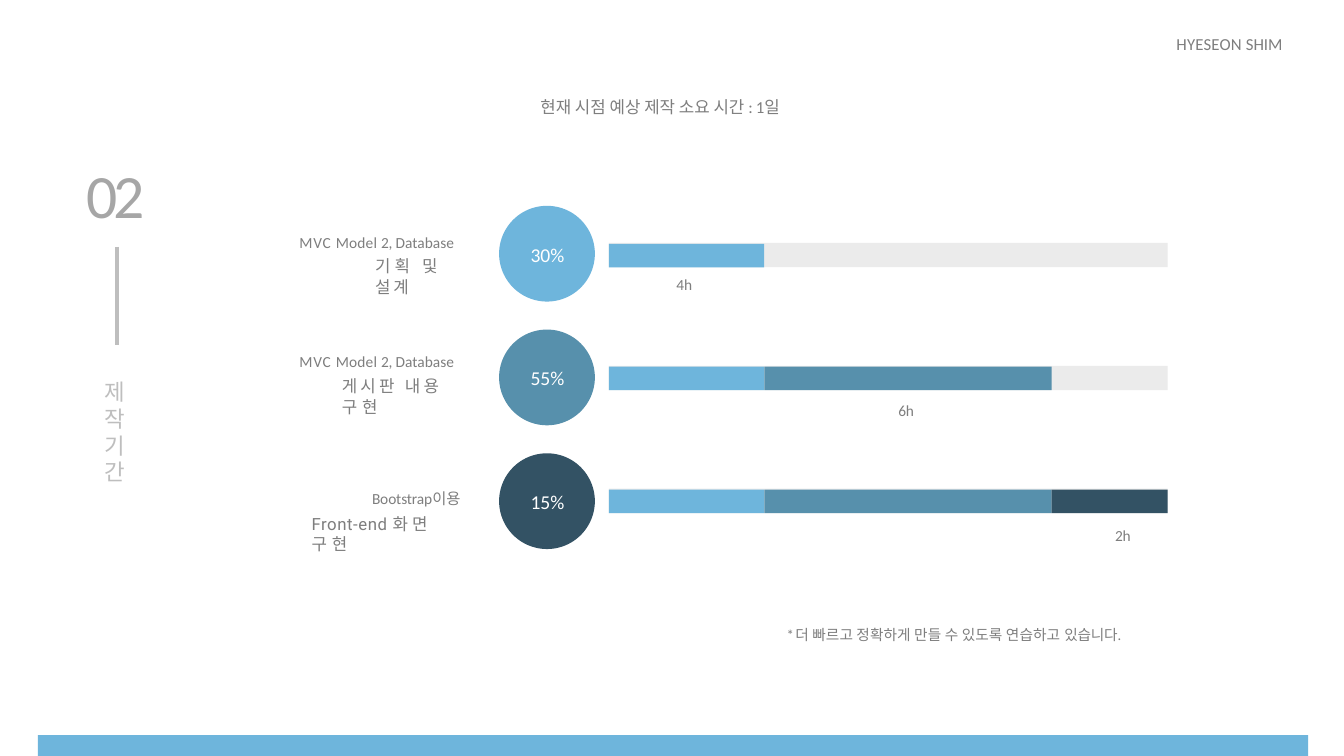
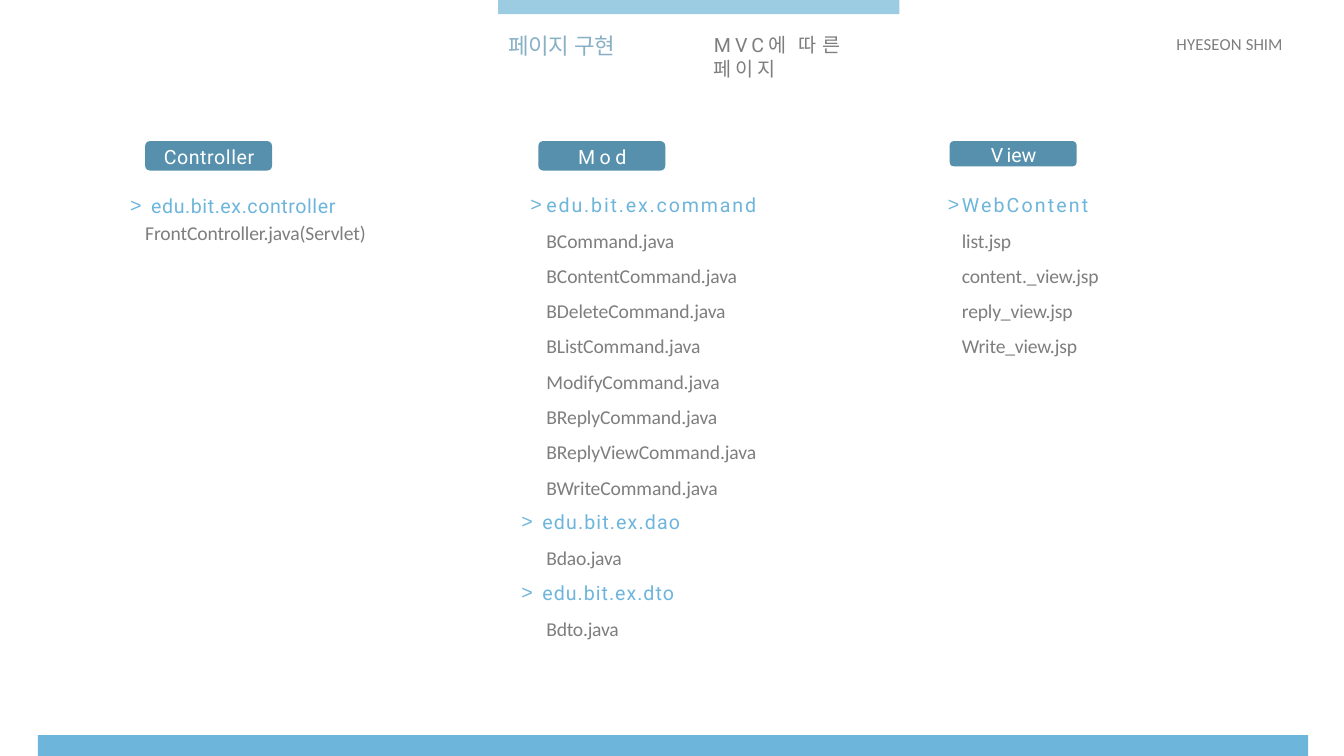
from lxml.etree import SubElement
from pptx import Presentation
from pptx.dml.color import RGBColor
from pptx.enum.shapes import MSO_CONNECTOR, MSO_SHAPE
from pptx.enum.text import MSO_ANCHOR, MSO_AUTO_SIZE, PP_ALIGN
from pptx.oxml.ns import qn
from pptx.util import Inches, Pt

# Grid: 160 columns by 90 rows of square cells
prs = Presentation()
prs.slide_width, prs.slide_height = Inches(13.33), Inches(7.5)
CELL = prs.slide_height / 90

# Shared colours and text styles: size, font, colour
SKY, STEEL, NAVY, PALE, TRACK = "6EB5DC", "5790AC", "335264", "9CCCE1", "EBEBEB"
GREY, SILVER, WHITE = "7E7E7E", "BEBEBE", "FFFFFF"
SMALL, NOTE, NORMAL = (11, "Calibri", GREY), (10.5, "Calibri", GREY), (12, "Calibri", GREY)
TASK, FILE = (12, "Roboto", GREY), (14, "Calibri", GREY)
PACKAGE, PILL = (14, "Roboto", SKY), (14, "Roboto", WHITE)


def cells(*values):
    return [round(value * CELL) for value in values]


def rgb(colour):
    return RGBColor.from_string(colour)


# Fills a text or shape, optionally moved to a place on the grid.
# A paragraph is (style, layout, [(text, letter spacing), ...]).
def write(shape, paragraphs, place=None, top=0.12, **frame_format):
    if place:
        shape.left, shape.top, shape.width, shape.height = cells(*place)
    frame = shape.text_frame
    defaults = {"word_wrap": True, "auto_size": MSO_AUTO_SIZE.NONE,
                "vertical_anchor": MSO_ANCHOR.TOP, "margin_left": 0,
                "margin_right": 0, "margin_bottom": 0, "margin_top": cells(top)[0]}
    for key, value in (defaults | frame_format).items():
        setattr(frame, key, value)
    for number, ((size, font, colour), layout, runs) in enumerate(paragraphs):
        paragraph = frame.add_paragraph() if number else frame.paragraphs[0]
        layout = {"align": PP_ALIGN.LEFT, "lines": 1.0, "before": 1,
                  "margin": 0.12, "hang": 0, "bullet": None} | layout
        for key, value in {"alignment": layout["align"], "line_spacing": layout["lines"],
                           "space_before": Pt(layout["before"])}.items():
            setattr(paragraph, key, value)
        properties = paragraph._p.get_or_add_pPr()
        for key, value in zip(("marL", "indent"), cells(layout["margin"], -layout["hang"])):
            properties.set(key, str(value))
        if layout["bullet"]:
            SubElement(properties, qn("a:buChar"), char=layout["bullet"])
        else:
            SubElement(properties, qn("a:buNone"))
        for text, spacing in runs:
            run = paragraph.add_run()
            run.text = text
            for key, value in {"size": Pt(size), "name": font, "bold": False}.items():
                setattr(run.font, key, value)
            run.font.color.rgb = rgb(colour)
            run._r.get_or_add_rPr().set("spc", str(round(spacing * 100)))


def block(slide, place, colour, kind=MSO_SHAPE.RECTANGLE):
    shape = slide.shapes.add_shape(kind, *cells(*place))
    shape.shadow.inherit = False
    shape.fill.solid()
    shape.fill.fore_color.rgb = rgb(colour)
    shape.line.fill.background()
    return shape


# Both slides: bottom band and author
period = prs.slides.add_slide(prs.slide_layouts.get_by_name("Title Only"))
pages = prs.slides.add_slide(prs.slide_layouts.get_by_name("Comparison"))
for slide in (period, pages):
    block(slide, (4.5, 87.5, 151.2, 2.5), SKY)
    author = slide.shapes.add_textbox(*cells(139.9, 3.95, 14.8, 2.8))
    write(author, [(NORMAL, {}, [("HYESEON ", 0.1), ("SHIM", 0)])])

# Slide 1: vertical title with number and rule
write(period.shapes.title, [((16, "Calibri", SILVER), {"before": 2.4}, [("제작 기간", -0.1)])],
      (12, 45, 3.84, 12), top=0.36)
period.shapes.title.text_frame._txBody.bodyPr.set("vert", "vert")
rule = period.shapes.add_connector(MSO_CONNECTOR.STRAIGHT, *cells(13.92, 29.4, 13.92, 41.04))
rule.line.color.rgb = rgb(SILVER)
rule.line.width = Pt(2.25)
SubElement(rule._element.spPr, qn("a:effectLst"))

# Slide 1: single lines of text
for place, style, runs in [
    ((10.2, 18.6, 7.8, 9.1), (44, "Calibri", "A6A6A6"), [("02", -3)]),
    ((64.2, 11.4, 32.9, 2.8), NORMAL,
     [("현재 시점 예상 제작 소요 시간 ", 0), (": ", -0.7), ("1일", -0.1)]),
    ((93.5, 74.4, 45, 2.4), NOTE,
     [("* ", -1.3), ("더 빠르고 정확하게 만들 수 있도록 연습하고 ", 0.1), ("있습니다.", -0.1)]),
]:
    write(period.shapes.add_textbox(*cells(*place)), [(style, {}, runs)])

# Slide 1: one row per task, each bar adding a segment to the one above
MODEL = [("MVC ", 0.5), ("Model ", 0.1), ("2, ", -0.2), ("Database", 0)]
SEGMENTS = [(SKY, 18.48), (STEEL, 34.2), (NAVY, 13.8)]
TASKS = [  # share, label place, inset, tool, tool layout, task, task layout, hours, hours place
    ("30%", (35.52, 27, 20.8, 6.1), 0.72, MODEL, {"before": 4.3},
     [("기획 및 ", 3), ("설계", 2)], {"before": 3.5, "margin": 9.12}, "4h", (80.4, 32.64)),
    ("55%", (35.52, 41.04, 20.8, 6.2), 0.84, MODEL, {"before": 4.8},
     [("게시판 ", 2.3), ("내용 ", 2.5), ("구현", 3.5)], {"before": 4.2, "margin": 5.16},
     "6h", (106.8, 47.64)),
    ("15%", (36.96, 57.24, 19.3, 6.5), 0.96, [("Bootstrap이용", -0.1)],
     {"before": 5.5, "margin": 7.32}, [("Front-end ", 0.4), ("화면 ", 3), ("구현", 3.5)],
     {"before": 4.8}, "2h", (132.6, 62.52)),
]
for row, (share, place, inset, tool, tool_layout, task, task_layout,
          hours, hours_place) in enumerate(TASKS):
    circle = block(period, (59.4, 24.5 + 14.73 * row, 11.4, 11.4),
                   SEGMENTS[row][0], MSO_SHAPE.OVAL)
    write(circle, [((14, "Calibri", WHITE), {"align": PP_ALIGN.CENTER, "before": 0},
                    [(share, -0.1)])], vertical_anchor=MSO_ANCHOR.MIDDLE)
    bar_top, left = 28.92 + 14.63 * row, 72.48
    block(period, (left, bar_top, sum(width for _, width in SEGMENTS), 2.9), TRACK)
    for colour, width in SEGMENTS[:row + 1]:
        block(period, (left, bar_top + 0.1, width, 2.8), colour)
        left += width
    write(period.shapes.add_textbox(*cells(*place)),
          [(SMALL, tool_layout, tool), (TASK, task_layout, task)], top=inset)
    write(period.shapes.add_textbox(*cells(*hours_place, 2.6, 2.5)),
          [(SMALL, {}, [(hours, -0.1)])])

# Slide 2: tab, title and subtitle
block(pages, (59.28, 0, 47.76, 1.68), PALE)
write(pages.shapes.title, [((16, "Calibri", "89B0C5"), {}, [("페이지 구현", -0.1)])],
      (60.36, 3.72, 14.7, 3.5))
subtitle, *lists = [holder for holder in pages.placeholders
                    if holder.placeholder_format.idx > 0]
write(subtitle, [((14, "Roboto", GREY), {}, [("MVC에 ", 2.9), ("따른 ", 4.1), ("페이지", 2.8)])],
      (84.84, 3.84, 21.2, 3.1))

# Slide 2: a pill and a list of packages and files per layer
LOOSE = {"lines": 1.5, "before": 0}
COMMANDS = ["BCommand.java", "BContentCommand.java", "BDeleteCommand.java",
            "BListCommand.java", "ModifyCommand.java", "BReplyCommand.java",
            "BReplyViewCommand.java", "BWriteCommand.java"]
VIEWS = ["list.jsp", "content._view.jsp", "reply_view.jsp", "Write_view.jsp"]
NESTED = {"margin": 2.64, "hang": 2.52, "bullet": ">"}
LAYERS = [  # pill place, pill text, list place, inset, list
    ((17.28, 16.8, 15.1, 3.5), [("Controller", 0.4)], (15.36, 22.32, 31.2, 7), 0.72,
     [(PACKAGE, NESTED | {"before": 4.2}, [("edu.bit.ex.controller", 0.4)]),
      (FILE, {"before": 3.1, "margin": 1.92}, [("FrontController.java(Servlet)", -0.1)])]),
    ((64.08, 16.8, 15.1, 3.5), [("Mod", 3.2)], (61.92, 21.48, 31, 55), 0.12,
     [(PACKAGE, LOOSE | {"before": 0.9, "margin": 3.12, "hang": 1.92, "bullet": ">"},
       [("edu.bit.ex.command", 1.3)])]
     + [(FILE, LOOSE | {"margin": 3.12}, [(name, -0.1)]) for name in COMMANDS]
     + [(PACKAGE, NESTED | {"before": 8}, [("edu.bit.ex.dao", 0.8)]),
        (FILE, {"before": 8.8, "margin": 3.12}, [("Bdao.java", -0.2)]),
        (PACKAGE, NESTED | {"before": 8.4}, [("edu.bit.ex.dto", 0.7)]),
        (FILE, {"before": 8.4, "margin": 3.12}, [("Bdto.java", -0.2)])]),
    ((113.04, 16.8, 15.1, 3), [("V", 2.3), ("iew", -0.1)], (112.68, 21.48, 19.7, 21.4), 0.12,
     [(PACKAGE, LOOSE | {"before": 0.9, "margin": 1.8, "hang": 1.68, "bullet": ">"},
       [("WebContent", 1.5)])]
     + [(FILE, LOOSE | {"margin": 1.8}, [(name, -0.15)]) for name in VIEWS]),
]
for holder, (pill_place, layer, list_place, inset, entries) in zip(lists, LAYERS):
    pill = block(pages, pill_place, STEEL, MSO_SHAPE.ROUNDED_RECTANGLE)
    pill.adjustments[0] = 0.16
    write(pill, [(PILL, {"align": PP_ALIGN.CENTER, "before": 0}, layer)],
          vertical_anchor=MSO_ANCHOR.MIDDLE)
    write(holder, entries, list_place, top=inset)

prs.save("out.pptx")
